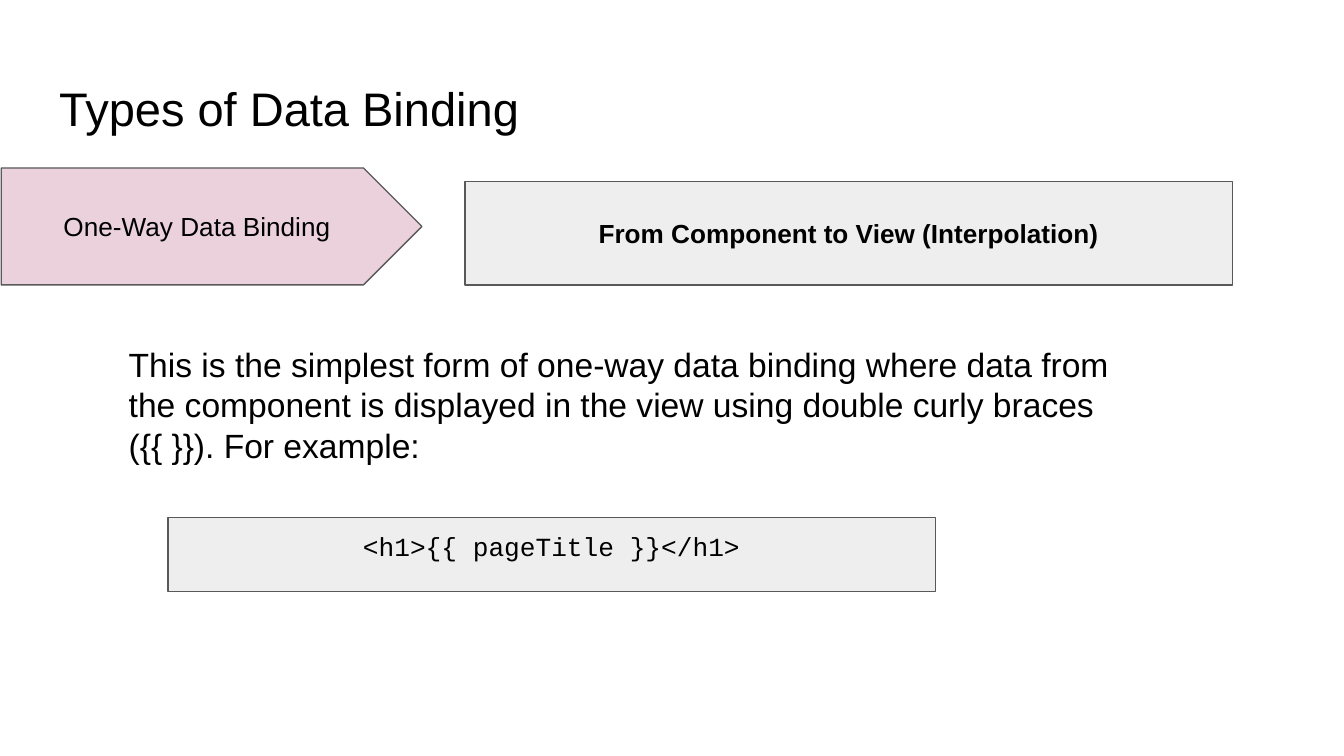
import pptx
import pptx.dml.color
import pptx.enum.shapes
import pptx.enum.text
import pptx.util

WIDTH = 10
HEIGHT = WIDTH * 9 / 16
SHAPES = pptx.enum.shapes.MSO_SHAPE
ANCHOR = pptx.enum.text.MSO_ANCHOR
ALIGN = pptx.enum.text.PP_ALIGN
INK, OUTLINE, PINK, GRAY = "000000", "595959", "EAD1DC", "EEEEEE"
PANEL_WIDTH = 5.71


def color(target, value):
    """Apply a hex colour to a font, or to a fill made solid."""
    if hasattr(target, "solid"):
        target.solid()
        target.fore_color.rgb = pptx.dml.color.RGBColor.from_string(value)
    else:
        target.color.rgb = pptx.dml.color.RGBColor.from_string(value)


def inches(*lengths):
    """Convert lengths in inches to slide units."""
    return [pptx.util.Inches(length) for length in lengths]


def write(shape, text, size, anchor=ANCHOR.TOP, align=ALIGN.LEFT,
          face="Arial", bold=False):
    """Put one formatted paragraph into a shape."""
    frame = shape.text_frame
    frame.word_wrap = True
    frame.auto_size = pptx.enum.text.MSO_AUTO_SIZE.NONE
    frame.vertical_anchor = anchor
    frame.margin_left = frame.margin_right = pptx.util.Inches(0.1)
    frame.margin_top = frame.margin_bottom = pptx.util.Inches(0.1)
    frame.text = text
    paragraph = frame.paragraphs[0]
    paragraph.alignment = align
    paragraph.font.name = face
    paragraph.font.size = pptx.util.Pt(size)
    paragraph.font.bold = bold
    color(paragraph.font, INK)


def add_title(slide, text, box):
    """Place and fill the title placeholder."""
    title = slide.shapes.title
    title.left, title.top, title.width, title.height = inches(*box)
    write(title, text, 25.2)


def add_explanation(slide, text, box):
    """Add a block of running text."""
    explanation = slide.shapes.add_textbox(*inches(*box))
    write(explanation, text, 18)


def add_panel(slide, preset, text, box, fill, **style):
    """Add an outlined panel with a centred label."""
    panel = slide.shapes.add_shape(preset, *inches(*box))
    panel.shadow.inherit = False
    color(panel.fill, fill)
    color(panel.line.fill, OUTLINE)
    panel.line.width = pptx.util.Pt(0.75)
    write(panel, text, 14, align=ALIGN.CENTER, **style)


def main():
    """Build and save the slide."""
    deck = pptx.Presentation()
    deck.slide_width, deck.slide_height = inches(WIDTH, HEIGHT)
    slide = deck.slides.add_slide(deck.slide_layouts[5])
    add_title(slide, "Types of Data Binding", (0.34, 0.49, 9.32, 0.63))
    add_panel(slide, SHAPES.PENTAGON, "One-Way Data Binding",
              (0.01, 1.25, 3.13, 0.87), PINK, anchor=ANCHOR.MIDDLE)
    add_panel(slide, SHAPES.RECTANGLE, "From Component to View (Interpolation)",
              (3.46, 1.35, PANEL_WIDTH, 0.77), GRAY,
              anchor=ANCHOR.MIDDLE, bold=True)
    add_explanation(
        slide,
        "This is the simplest form of one-way data binding where data from "
        "the component is displayed in the view using double curly braces "
        "({{ }}). For example:",
        (0.86, 2.46, 7.6, 1.11))
    add_panel(slide, SHAPES.RECTANGLE, "<h1>{{ pageTitle }}</h1>",
              (1.25, 3.85, PANEL_WIDTH, 0.55), GRAY, face="Courier New")
    deck.save("out.pptx")


if __name__ == "__main__":
    main()
